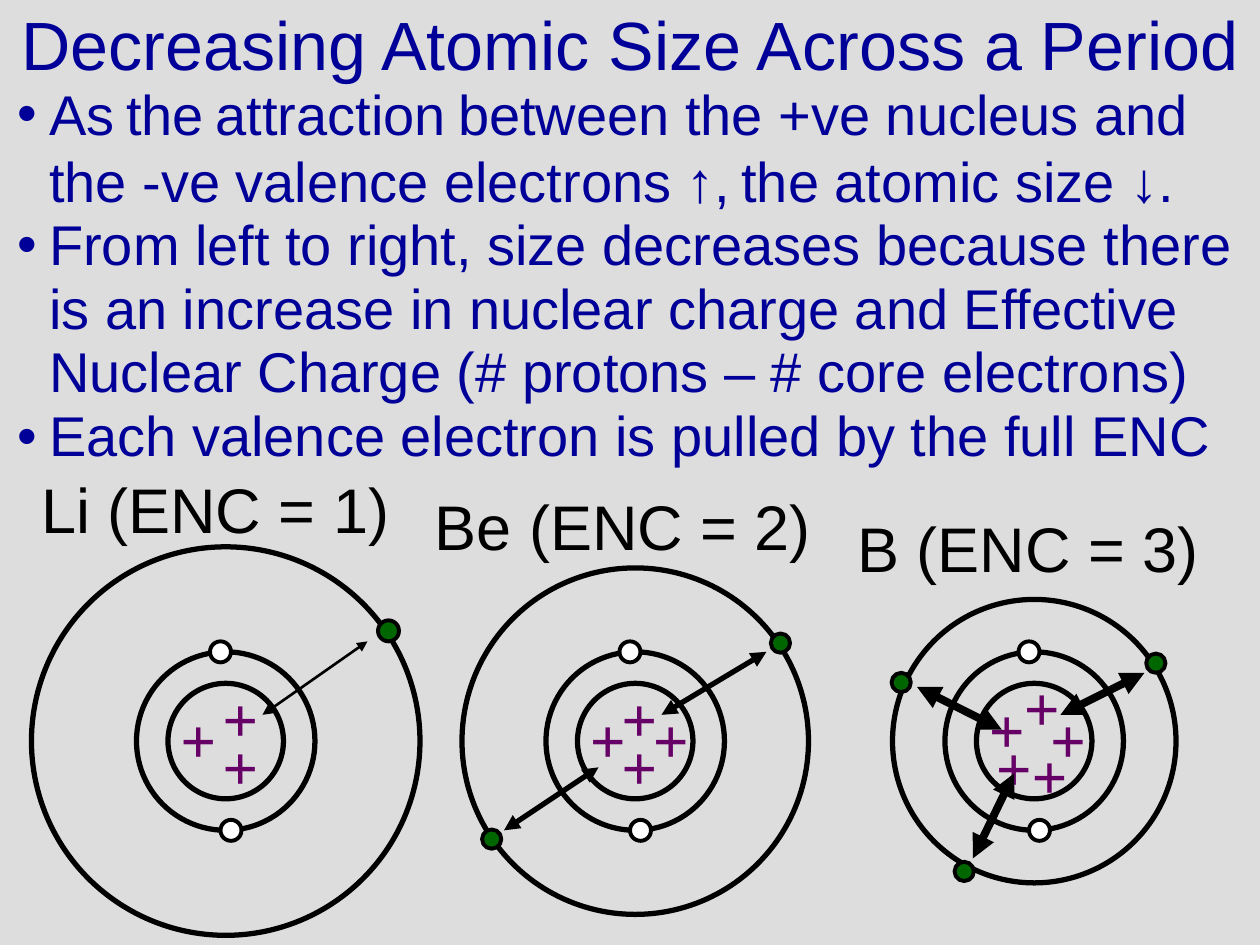
from dataclasses import dataclass
from typing import Optional

from lxml.etree import SubElement
from pptx import Presentation
from pptx.dml.color import RGBColor
from pptx.enum.shapes import MSO_CONNECTOR, MSO_SHAPE
from pptx.enum.text import MSO_ANCHOR, PP_ALIGN
from pptx.oxml.ns import qn
from pptx.util import Pt

Point = tuple[float, float]


@dataclass(frozen=True)
class Theme:
    back: str = "DDDDDD"
    navy: str = "000099"
    ink: str = "000000"
    proton: str = "660066"
    core: str = "FFFFFF"
    valence: str = "006600"
    sans: str = "Arial"
    serif: str = "Times New Roman"
    title: float = 39
    body: float = 32
    label: float = 36
    ring: float = 3
    rim: float = 2.25


@dataclass(frozen=True)
class Atom:
    name: str
    label_box: tuple[float, float, float]
    cx: float
    size: float
    dot: float
    pull: float
    protons: list[Point]
    valence: list[Point]
    arrows: list[tuple[Point, Point]]


T = Theme()
CENTER_Y = 423.5
NUCLEUS, CORE_RING, CORE_DOT = 66, 102, 12
CORE = [(-3, -51), (3, 51)]
ATOMS = [
    Atom("Li (ENC = 1)", (0, 264, 246), 129, 222, 12, 1.5,
         [(-33, -27), (-9, -11.5), (-9, -39)],
         [(93, -63)],
         [((81, -57), (21, -15))]),
    Atom("Be (ENC = 2)", (226, 273.5, 260), 363, 198, 11, 3,
         [(-33, -27), (-15, -11.5), (-15, -39), (3, -27)],
         [(83, -56), (-82, 56)],
         [((75, -51), (15, -15)), ((-21, 15), (-75, 51))]),
    Atom("B (ENC = 3)", (461, 286, 253), 591, 162, 11, 4.5,
         [(-29, -11), (-8.5, -6), (-13, -45), (2, -27), (-33, -32.5)],
         [(69.5, -44.5), (-40, 74.5), (-76, -33.5)],
         [((63, -39), (15, -15)), ((-18.5, -6.5), (-67, -31)),
          ((-11.5, 18.5), (-35, 67))]),
]
BULLETS = [
    (1.0, [("As", 32), (" ", 24), ("the", 32), (" ", 24), ("attraction", 32), (" ", 24),
           ("between the +ve nucleus and the -ve valence electrons ↑,", 32),
           (" ", 20), ("the atomic size ↓.", 32)]),
    (0.95, [("From left to right, size decreases because there is an increase in nuclear "
             "charge and Effective Nuclear Charge (# protons – # core electrons)", T.body)]),
    (0.95, [("Each valence electron is pulled by the full ENC", T.body)]),
]


def rgb(color: str) -> RGBColor:
    return RGBColor.from_string(color)


def add_run(p, text: str, size: float, color: str, font: str, bold: bool = False) -> None:
    r = p.add_run()
    r.text = text
    r.font.size = Pt(size)
    r.font.name = font
    r.font.bold = bold
    r.font.color.rgb = rgb(color)


def set_frame(tf, wrap: bool = True, top: float = 3.6) -> None:
    tf.word_wrap = wrap
    tf.margin_left = tf.margin_right = Pt(7.2)
    tf.margin_top, tf.margin_bottom = Pt(top), Pt(3.6)


def add_title(s) -> None:
    sp = s.shapes.title
    sp.left, sp.top, sp.width, sp.height = Pt(0), Pt(0), Pt(720), Pt(49)
    tf = sp.text_frame
    set_frame(tf)
    tf.vertical_anchor = MSO_ANCHOR.MIDDLE
    p = tf.paragraphs[0]
    p.alignment = PP_ALIGN.CENTER
    add_run(p, "Decreasing Atomic Size Across a Period", T.title, T.navy, T.sans)


def add_bullets(s) -> None:
    tf = s.shapes.add_textbox(Pt(3), Pt(42), Pt(714), Pt(234)).text_frame
    set_frame(tf)
    for i, (spacing, runs) in enumerate(BULLETS):
        p = tf.paragraphs[0] if i == 0 else tf.add_paragraph()
        p.line_spacing = spacing
        p.space_before = Pt(0)
        pPr = p._p.get_or_add_pPr()
        pPr.set("marL", str(Pt(18)))
        pPr.set("indent", str(-Pt(18)))
        color = SubElement(pPr, qn("a:buClr"))
        SubElement(color, qn("a:srgbClr"), val=T.navy)
        SubElement(pPr, qn("a:buFont"), typeface=T.sans)
        SubElement(pPr, qn("a:buChar"), char="•")
        for text, size in runs:
            add_run(p, text, size, T.navy, T.sans)


def add_circle(s, x: float, y: float, d: float, line: float,
               fill: Optional[str] = None) -> None:
    sp = s.shapes.add_shape(MSO_SHAPE.OVAL, Pt(x - d / 2), Pt(y - d / 2), Pt(d), Pt(d))
    sp.shadow.inherit = False
    if fill:
        sp.fill.solid()
        sp.fill.fore_color.rgb = rgb(fill)
    else:
        sp.fill.background()
    sp.line.color.rgb = rgb(T.ink)
    sp.line.width = Pt(line)


def add_arrow(s, start: Point, end: Point, width: float) -> None:
    sp = s.shapes.add_connector(MSO_CONNECTOR.STRAIGHT, *map(Pt, start + end))
    sp.line.color.rgb = rgb(T.ink)
    sp.line.width = Pt(width)
    ln = sp.line._get_or_add_ln()
    for tag in ("a:headEnd", "a:tailEnd"):
        SubElement(ln, qn(tag), type="triangle")
    SubElement(sp._element.spPr, qn("a:effectLst"))


def add_label(s, atom: Atom) -> None:
    x, y, w = atom.label_box
    tf = s.shapes.add_textbox(Pt(x), Pt(y), Pt(w), Pt(50.4)).text_frame
    set_frame(tf, top=5)
    p = tf.paragraphs[0]
    p.alignment = PP_ALIGN.CENTER
    add_run(p, atom.name, T.label, T.ink, T.sans)


def add_proton(s, x: float, y: float) -> None:
    tf = s.shapes.add_textbox(Pt(x), Pt(y), Pt(36), Pt(50.4)).text_frame
    set_frame(tf)
    add_run(tf.paragraphs[0], "+", T.label, T.proton, T.serif, bold=True)


def add_atom(s, atom: Atom) -> None:
    def at(offset: Point) -> Point:
        return atom.cx + offset[0], CENTER_Y + offset[1]

    add_label(s, atom)
    for d in (NUCLEUS, CORE_RING, atom.size):
        add_circle(s, *at((0, 0)), d, T.ring)
    for offset in CORE:
        add_circle(s, *at(offset), CORE_DOT, T.rim, T.core)
    for offset in atom.valence:
        add_circle(s, *at(offset), atom.dot, T.rim, T.valence)
    for offset in atom.protons:
        add_proton(s, *at(offset))
    for start, end in atom.arrows:
        add_arrow(s, at(start), at(end), atom.pull)


def main() -> None:
    prs = Presentation()
    prs.slide_width, prs.slide_height = Pt(720), Pt(540)
    s = prs.slides.add_slide(prs.slide_layouts[5])
    s.background.fill.solid()
    s.background.fill.fore_color.rgb = rgb(T.back)
    add_title(s)
    add_bullets(s)
    for atom in ATOMS:
        add_atom(s, atom)
    prs.save("out.pptx")


if __name__ == "__main__":
    main()
